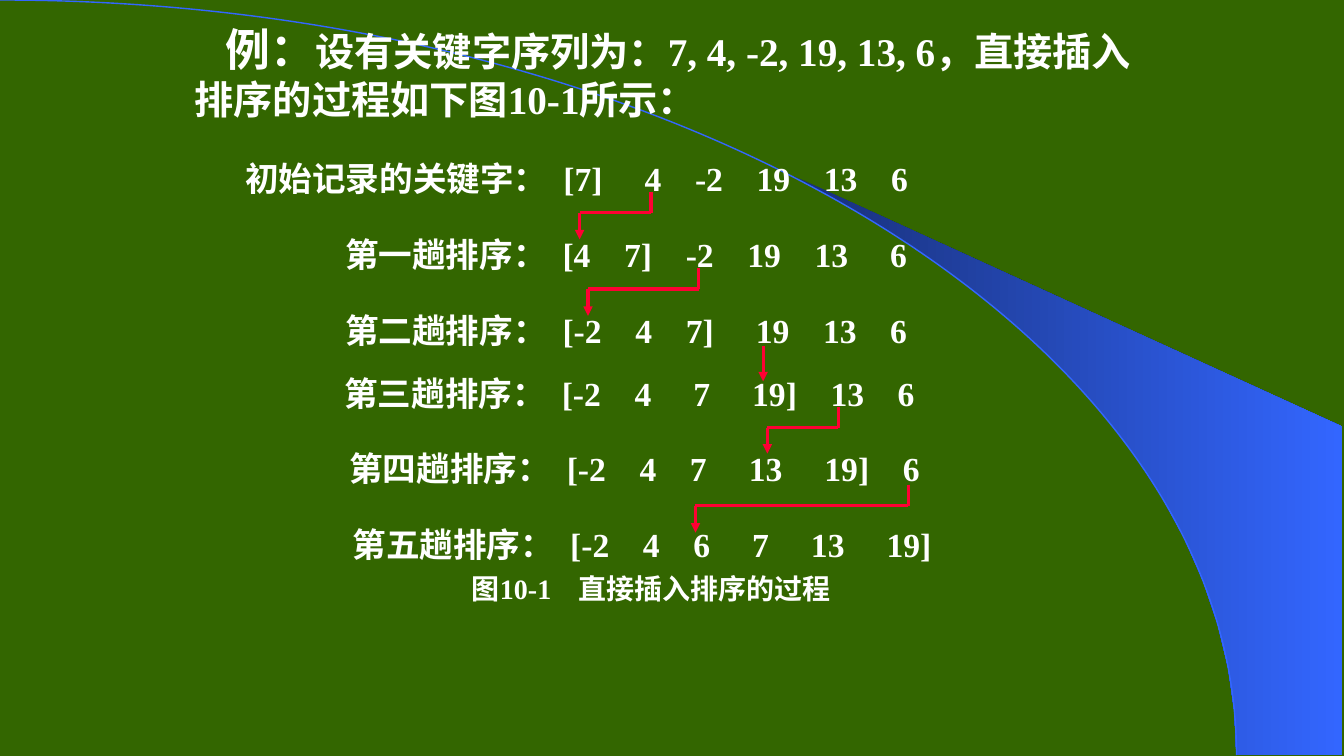
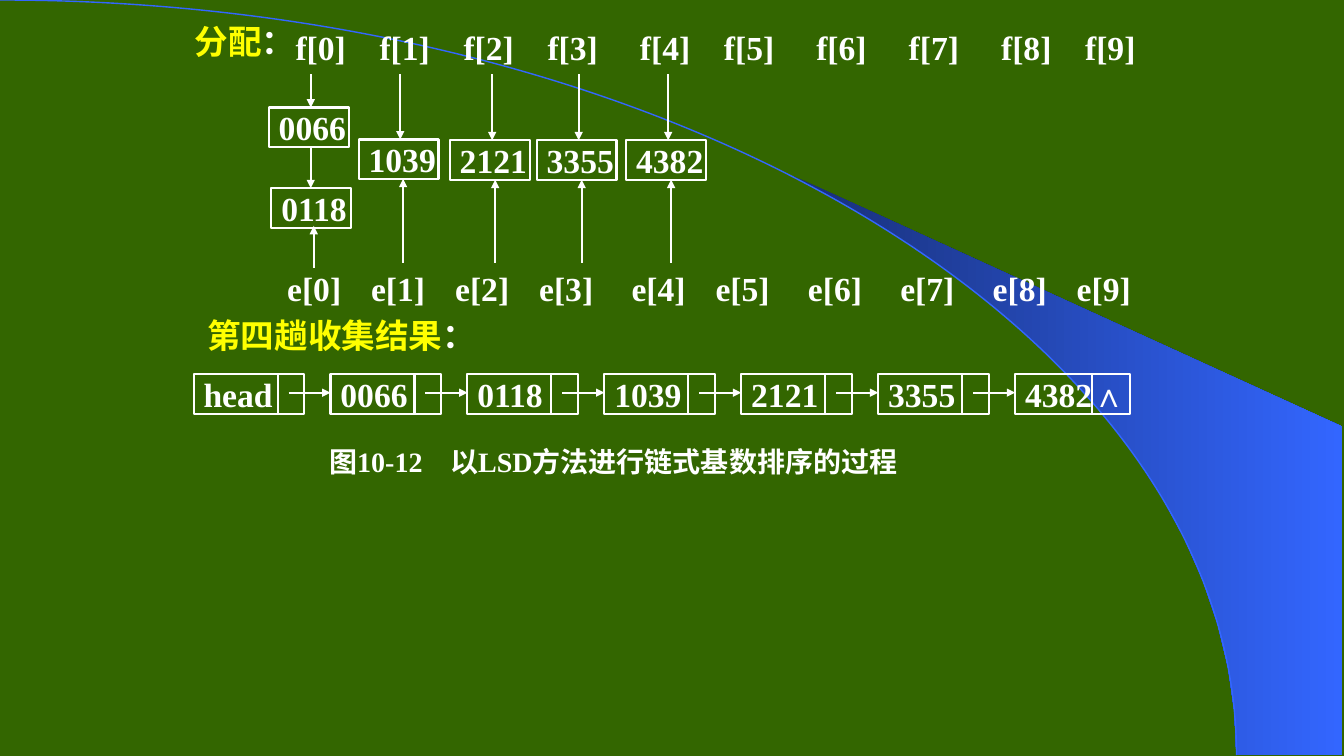
import math

from lxml import etree
from pptx import Presentation
from pptx import util as u
from pptx.dml.color import RGBColor
from pptx.enum import shapes, text
from pptx.oxml.ns import qn

GREEN = RGBColor(0x33, 0x66, 0x00)
NAVY = RGBColor(0x18, 0x2F, 0x76)
BLUE = RGBColor(0x33, 0x66, 0xFF)
WHITE = RGBColor(0xFF, 0xFF, 0xFF)
YELLOW = RGBColor(0xFF, 0xFF, 0x00)
RED = RGBColor(0xFF, 0x00, 0x33)
LATIN, CJK = "Times New Roman", "Noto Sans CJK SC"
COLS, ROWS = 160, 90
WIDTH, HEIGHT = u.Inches(13.333), u.Inches(7.5)
ARC_W, ARC_H = 147.2, 89.9
LINE_H = 4.7


def col(n):
    """Turn grid columns into a length."""
    return u.Emu(round(n * WIDTH / COLS))


def row(n):
    """Turn grid rows into a length."""
    return u.Emu(round(n * HEIGHT / ROWS))


def write(sp, runs, wrap=False, anchor=text.MSO_ANCHOR.MIDDLE):
    """Fill a shape with one paragraph of (text, size, colour) runs."""
    tf = sp.text_frame
    tf.word_wrap = wrap
    tf.vertical_anchor = anchor
    p = tf.paragraphs[0]
    p.alignment = text.PP_ALIGN.LEFT
    for words, size, color in runs:
        r = p.add_run()
        r.text = words
        r.font.size = u.Pt(size)
        r.font.bold = True
        r.font.color.rgb = color
        r.font.name = LATIN
        etree.SubElement(r.font._element, qn("a:ea"), typeface=CJK)
    return p


def label(sl, x, y, w, runs, h=LINE_H, **options):
    """Add a text box at a grid position."""
    sp = sl.shapes.add_textbox(col(x), row(y), col(w), row(h))
    return write(sp, runs, **options)


def tabbed(sl, x, y, w, parts, stops, size, h=LINE_H):
    """Add a line of text whose parts start at the given tab stops."""
    p = label(sl, x, y, w, [("\t".join(parts), size, WHITE)], h, wrap=True)
    tabs = etree.SubElement(p._p.get_or_add_pPr(), qn("a:tabLst"))
    for stop in stops:
        etree.SubElement(tabs, qn("a:tab"), pos=str(col(stop)), algn="l")


def cell(sl, x, y, w, words):
    """Add an outlined box holding a key."""
    sp = sl.shapes.add_shape(shapes.MSO_SHAPE.RECTANGLE, col(x), row(y), col(w), row(LINE_H))
    sp.shadow.inherit = False
    sp.fill.background()
    sp.line.color.rgb = WHITE
    sp.line.width = u.Pt(1.5)
    write(sp, [(words, 24, WHITE)])


def line(sl, start, end, color=WHITE, width=1.5, arrow=False):
    """Join two grid points, with an optional arrowhead at the end."""
    cn = sl.shapes.add_connector(
        shapes.MSO_CONNECTOR.STRAIGHT, col(start[0]), row(start[1]), col(end[0]), row(end[1]))
    cn.line.color.rgb = color
    cn.line.width = u.Pt(width)
    if arrow:
        etree.SubElement(cn.line._get_or_add_ln(), qn("a:tailEnd"), type="triangle")
    etree.SubElement(cn._element.spPr, qn("a:effectLst"))


def outline(sl, points, close):
    """Draw a freeform through grid points."""
    pts = [(col(x), row(y)) for x, y in points]
    builder = sl.shapes.build_freeform(*pts[0], scale=1.0)
    builder.add_line_segments(pts[1:], close=close)
    sp = builder.convert_to_shape()
    sp.shadow.inherit = False
    return sp


def sweep(sl):
    """Fill the area between the arc and the right edge."""
    angles = [math.radians(39.9 + 50.1 * i / 15) for i in range(16)]
    inner = [(ARC_W * math.sin(a), ARC_H * (1 - math.cos(a))) for a in angles]
    sp = outline(sl, [(159.8, ARC_H), (159.8, 50.8)] + inner, True)
    sp.line.fill.background()
    sp.fill.gradient()
    sp.fill.gradient_angle = 0
    for stop, position, color in zip(sp.fill.gradient_stops, (0, 1), (NAVY, BLUE)):
        stop.position = position
        stop.color.rgb = color


def curve(sl):
    """Draw the quarter ellipse as one Bezier segment."""
    sp = outline(sl, [(0, 0), (ARC_W, ARC_H)], False)
    segment = next(sp._element.iter(qn("a:lnTo")))
    segment.tag = qn("a:cubicBezTo")
    for i, (x, y) in enumerate([(ARC_W * 0.55, 0), (ARC_W, ARC_H * 0.45)]):
        segment.insert(i, segment.makeelement(qn("a:pt"), x=str(col(x)), y=str(row(y))))
    sp.fill.background()
    sp.line.color.rgb = BLUE
    sp.line.width = u.Pt(1)


def new_slide(prs):
    """Add a slide with the green ground, the blue sweep and the arc."""
    sl = prs.slides.add_slide(prs.slide_layouts[6])
    sl.background.fill.solid()
    sl.background.fill.fore_color.rgb = GREEN
    sweep(sl)
    curve(sl)
    return sl


def caption(sl, x, y, w, number, title, stop):
    """Add a figure number and its title."""
    tabbed(sl, x, y, w, [number, title], [stop], 20)


def pass_row(sl, x, y, name, keys, gaps):
    """Add the name of a pass and its keys, spaced by the given gaps."""
    keys = keys.split()
    stops = [len(name) * 4 + 1.9]
    for key, gap in zip(keys, gaps):
        width = sum(2 if c.isdigit() else 4 / 3 for c in key)
        stops.append(stops[-1] + width + int(gap))
    tabbed(sl, x, y, 88, [name] + keys, stops[:len(keys)], 24, 5.2)


def move_arrow(sl, x0, y0, x1, y1):
    """Lead a key from one pass down to its place in the next."""
    points = [(x0, y0), (x1, y1)]
    if x0 != x1:
        points[1:1] = [(x0, y0 + 2.5), (x1, y0 + 2.5)]
    for a, b in zip(points, points[1:]):
        line(sl, a, b, RED, 2.25, arrow=b is points[-1])


def insertion_slide(prs):
    """Build the direct insertion sort example."""
    sl = new_slide(prs)
    p = label(sl, 22, 2, 117, [
        ("例：", 32, WHITE),
        ("设有关键字序列为：7, 4, -2, 19, 13, 6，直接插入排序的过程如下图10-1所示：", 28, WHITE),
    ], 13.3, wrap=True, anchor=text.MSO_ANCHOR.TOP)
    p.space_before = u.Pt(3)
    p._p.get_or_add_pPr().set("indent", str(col(3.7)))
    for entry in (
        (28, 18.65, "初始记录的关键字：", "[7] 4 -2 19 13 6", "54444"),
        (39.9, 27.7, "第一趟排序：", "[4 7] -2 19 13 6", "44445"),
        (39.9, 36.7, "第二趟排序：", "[-2 4 7] 19 13 6", "44544"),
        (39.8, 44.2, "第三趟排序：", "[-2 4 7 19] 13 6", "45544"),
        (40.4, 53.1, "第四趟排序：", "[-2 4 7 13 19] 6", "44554"),
        (40.8, 62.2, "第五趟排序：", "[-2 4 6 7 13 19]", "44555"),
    ):
        pass_row(sl, *entry)
    for move in (
        (77.5, 22.8, 69, 28.5),
        (83.2, 31.9, 70, 37.6),
        (90.85, 41.2, 90.85, 45.4),
        (99.8, 48.4, 91.35, 54),
        (108.15, 57.7, 82.8, 63.4),
    ):
        move_arrow(sl, *move)
    caption(sl, 55, 67.7, 46, "图10-1", "直接插入排序的过程", 12.7)


def bucket(sl, x, stack, tip, foot):
    """Stack keys between the front and end pointers of one queue."""
    start = 8.85
    for left, top, key in stack:
        cell(sl, left, top, 9.5, key)
        line(sl, (x, start), (x, top), arrow=True)
        start = top + LINE_H
    line(sl, (x + 0.35, foot), (x + 0.35, tip), arrow=True)


def chain(sl, x, y, keys):
    """Draw the linked list of keys from left to right."""
    pitch = 16.3
    for i, key in enumerate(keys):
        left, last = x + i * pitch, i == len(keys) - 1
        cell(sl, left, y, 13.7 if last else 13.2, key)
        split = left + (9.2 if last else 10)
        line(sl, (split, y), (split, y + LINE_H))
        if not last:
            line(sl, (left + 11.3, y + 2.2), (left + pitch, y + 2.2), arrow=True)


def radix_slide(prs):
    """Build the last distribution and collection of the radix sort."""
    sl = new_slide(prs)
    label(sl, 22, 2.5, 11.3, [("分配", 24, YELLOW), ("：", 24, WHITE)])
    for i, x in enumerate((34, 44, 54, 64, 75, 85, 96, 107, 118, 128)):
        label(sl, x, 3.2, 9, [(f"f[{i}]", 24, WHITE)])
        label(sl, x - 1, 31.9, 9, [(f"e[{i}]", 24, WHITE)])
    bucket(sl, 37, [(32, 12.8, "0066"), (32.3, 22.4, "0118")], 26.9, 31.9)
    for x, left, top, key in (
        (47.65, 42.7, 16.6, "1039"),
        (58.6, 53.55, 16.7, "2121"),
        (68.9, 63.9, 16.7, "3355"),
        (79.55, 74.55, 16.7, "4382"),
    ):
        bucket(sl, x, [(left, top, key)], top + LINE_H, 31.3)
    label(sl, 23.5, 37.5, 32.2, [("第四趟收集结果", 24, YELLOW), ("：", 24, WHITE)])
    chain(sl, 23.05, 44.55, ["head", "0066", "0118", "1039", "2121", "3355", "4382∧"])
    caption(sl, 38, 52.6, 74, "图10-12", "以LSD方法进行链式基数排序的过程", 14.4)


def main():
    """Build and save the presentation."""
    prs = Presentation()
    prs.slide_width, prs.slide_height = WIDTH, HEIGHT
    insertion_slide(prs)
    radix_slide(prs)
    prs.save("out.pptx")


if __name__ == "__main__":
    main()
